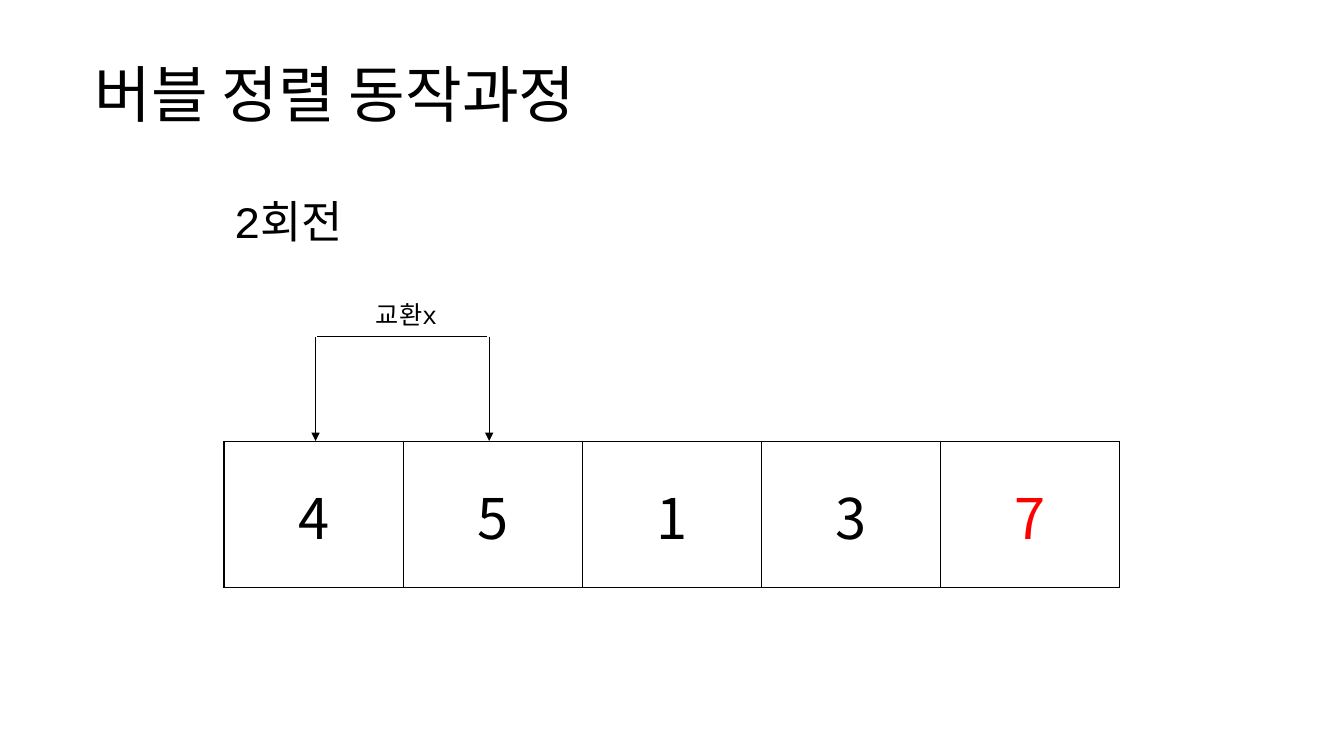
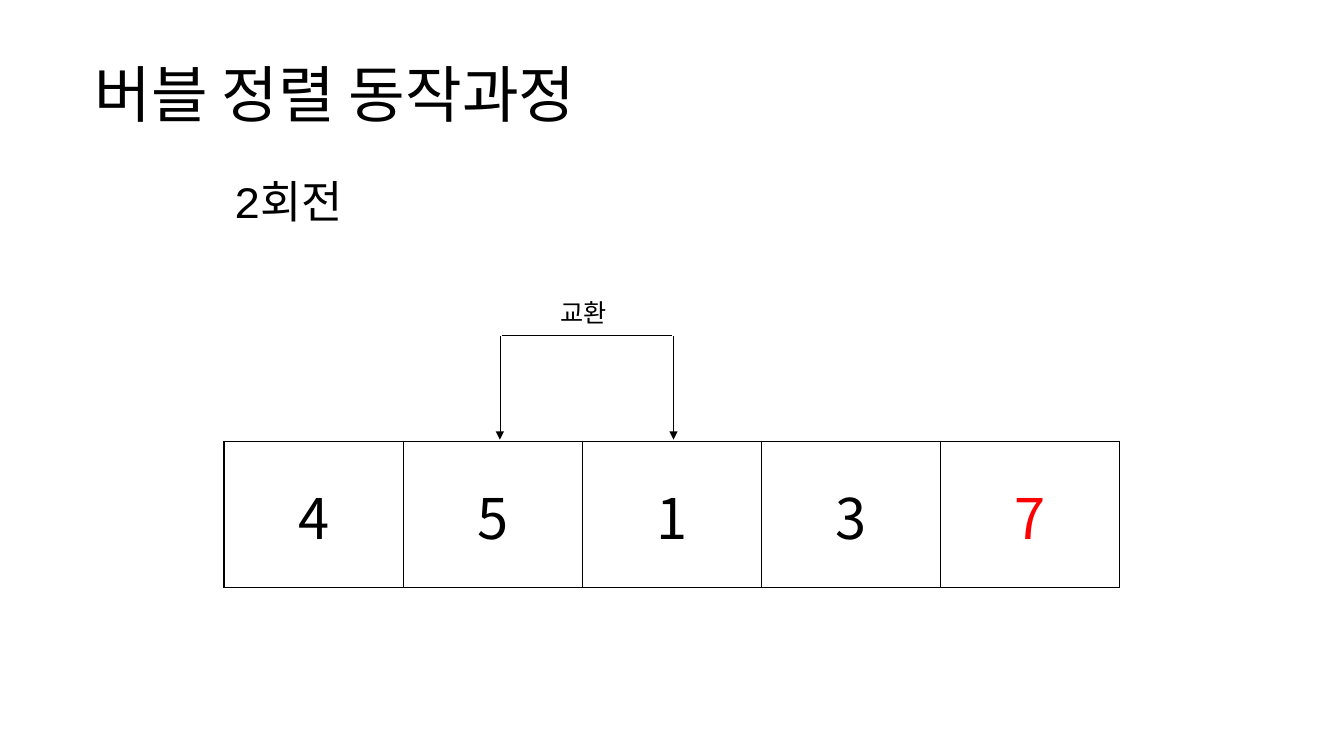
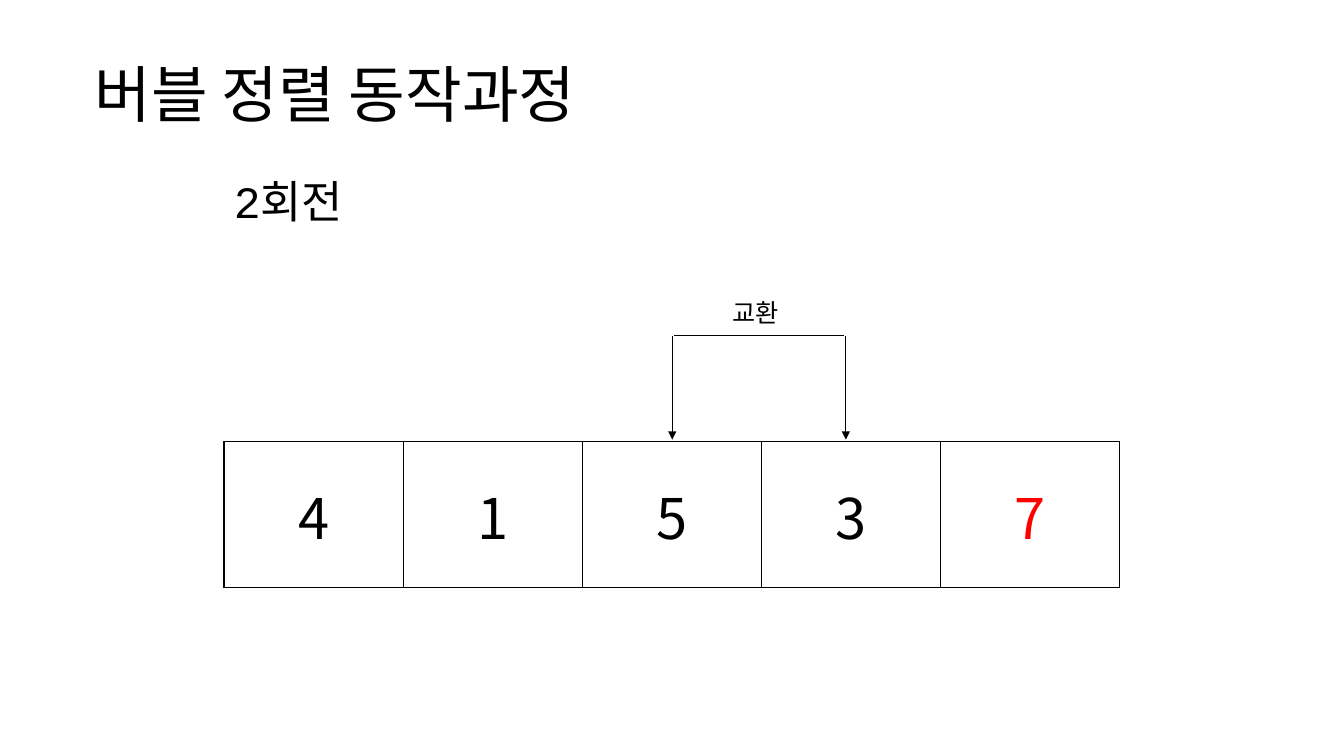
"""Build three slides that walk through the second pass of a bubble sort."""

from dataclasses import dataclass

from lxml import etree
from pptx import Presentation
from pptx.dml.color import RGBColor
from pptx.enum.shapes import MSO_CONNECTOR
from pptx.enum.text import MSO_ANCHOR, PP_ALIGN
from pptx.oxml.ns import qn
from pptx.slide import Slide
from pptx.table import _Cell
from pptx.text.text import TextFrame
from pptx.util import Pt

STRAIGHT = MSO_CONNECTOR.STRAIGHT
MIDDLE = MSO_ANCHOR.MIDDLE
LEFT = PP_ALIGN.LEFT
CENTER = PP_ALIGN.CENTER


@dataclass(frozen=True)
class Theme:
    """Colours, fonts, type sizes and line widths of the deck."""

    ink: RGBColor = RGBColor(0, 0, 0)
    settled: RGBColor = RGBColor(255, 0, 0)
    paper: RGBColor = RGBColor(255, 255, 255)
    korean_font: str = "Noto Sans CJK KR"
    mono_font: str = "Courier New"
    title_size: float = 44
    round_size: float = 32
    value_size: float = 40
    swap_size: float = 18
    bracket_width: float = 0.5
    border_width: float = 1


@dataclass(frozen=True)
class Box:
    """A rectangle in points."""

    left: float
    top: float
    width: float
    height: float


@dataclass(frozen=True)
class TextStyle:
    """Latin font, size, colour and alignment of a text."""

    font: str
    size: float
    color: RGBColor
    align: PP_ALIGN = LEFT
    spacing: float = 0.9


@dataclass(frozen=True)
class Step:
    """One comparison of two neighbouring values."""

    round_top: float
    values: str
    swap_label: str
    bracket_left: float
    bracket_top: float


THEME = Theme()
TITLE = "버블 정렬 동작과정"
ROUND = "2회전"
TITLE_STYLE = TextStyle(THEME.korean_font, THEME.title_size, THEME.ink)
ROUND_STYLE = TextStyle(THEME.mono_font, THEME.round_size, THEME.ink)
SWAP_STYLE = TextStyle(THEME.mono_font, THEME.swap_size, THEME.ink)
VALUE_STYLE = TextStyle(THEME.korean_font, THEME.value_size, THEME.ink, CENTER, 1)
SETTLED_STYLE = TextStyle(THEME.korean_font, THEME.value_size, THEME.settled, CENTER, 1)

TITLE_BOX = Box(60.5, 17.3, 828, 104.4)
ARRAY_BOX = Box(160, 315.4, 640, 104.4)
BRACKET_SPAN = 124
BRACKET_DROP = 74
BRACKET_GAP = 1.3

STEPS = [
    Step(130.3, "45137", "교환x", 225.4, 241),
    Step(115.9, "45137", "교환", 357.1, 240),
    Step(115.9, "41537", "교환", 480.2, 240),
]


def style_text(frame: TextFrame, text: str, style: TextStyle) -> None:
    """Fill a text frame with one styled paragraph."""
    frame.text = text
    paragraph = frame.paragraphs[0]
    paragraph.alignment = style.align
    paragraph.line_spacing = style.spacing
    for run in paragraph.runs:
        run.font.name = style.font
        run.font.size = Pt(style.size)
        run.font.color.rgb = style.color
        east_asian = etree.SubElement(run.font._element, qn("a:ea"))
        east_asian.set("typeface", THEME.korean_font)


def add_label(slide: Slide, box: Box, text: str, style: TextStyle) -> None:
    """Add a vertically centred text box."""
    label = slide.shapes.add_textbox(
        Pt(box.left), Pt(box.top), Pt(box.width), Pt(box.height)
    )
    label.text_frame.word_wrap = True
    label.text_frame.vertical_anchor = MIDDLE
    style_text(label.text_frame, text, style)


def add_line(
    slide: Slide, x1: float, y1: float, x2: float, y2: float, arrow: bool = False
) -> None:
    """Add a thin line, with an arrowhead at its end if asked."""
    line = slide.shapes.add_connector(STRAIGHT, Pt(x1), Pt(y1), Pt(x2), Pt(y2))
    line.line.color.rgb = THEME.ink
    line.line.width = Pt(THEME.bracket_width)
    if arrow:
        tail = etree.SubElement(line.line._get_or_add_ln(), qn("a:tailEnd"))
        tail.set("type", "triangle")
    etree.SubElement(line._element.spPr, qn("a:effectLst"))


def add_borders(cell: _Cell) -> None:
    """Draw a solid border on all four sides of a cell."""
    properties = cell._tc.get_or_add_tcPr()
    for index, side in enumerate(("a:lnL", "a:lnR", "a:lnT", "a:lnB")):
        border = etree.Element(qn(side), w=str(Pt(THEME.border_width)))
        fill = etree.SubElement(border, qn("a:solidFill"))
        etree.SubElement(fill, qn("a:srgbClr"), val=str(THEME.ink))
        properties.insert(index, border)


def add_array(slide: Slide, values: str) -> None:
    """Draw the values as a one-row table whose last value is settled."""
    frame = slide.shapes.add_table(
        1, len(values), Pt(ARRAY_BOX.left), Pt(ARRAY_BOX.top),
        Pt(ARRAY_BOX.width), Pt(ARRAY_BOX.height),
    )
    array = frame.table
    array.first_row = False
    array.horz_banding = False
    last = len(values) - 1
    for index, value in enumerate(values):
        cell = array.cell(0, index)
        cell.fill.background()
        cell.vertical_anchor = MIDDLE
        style = SETTLED_STYLE if index == last else VALUE_STYLE
        style_text(cell.text_frame, value, style)
        add_borders(cell)


def add_swap_bracket(slide: Slide, step: Step) -> None:
    """Join the two compared values with a labelled bracket."""
    left, top = step.bracket_left, step.bracket_top
    right = left + BRACKET_SPAN
    for x in (left, right):
        add_line(slide, x, top, x, top + BRACKET_DROP, arrow=True)
    bar = top - BRACKET_GAP / 2
    add_line(slide, left + BRACKET_GAP, bar, right - BRACKET_GAP, bar)
    add_label(slide, Box(left + 36, top - 38, 72, 45.4), step.swap_label, SWAP_STYLE)


def main() -> None:
    """Build and save the deck."""
    deck = Presentation()
    deck.slide_width, deck.slide_height = Pt(960), Pt(540)
    blank = deck.slide_layouts[6]
    for step in STEPS:
        slide = deck.slides.add_slide(blank)
        slide.background.fill.solid()
        slide.background.fill.fore_color.rgb = THEME.paper
        add_label(slide, TITLE_BOX, TITLE, TITLE_STYLE)
        round_box = Box(ARRAY_BOX.left, step.round_top, 219, 59)
        add_label(slide, round_box, ROUND, ROUND_STYLE)
        add_array(slide, step.values)
        add_swap_bracket(slide, step)
    deck.save("out.pptx")


main()
